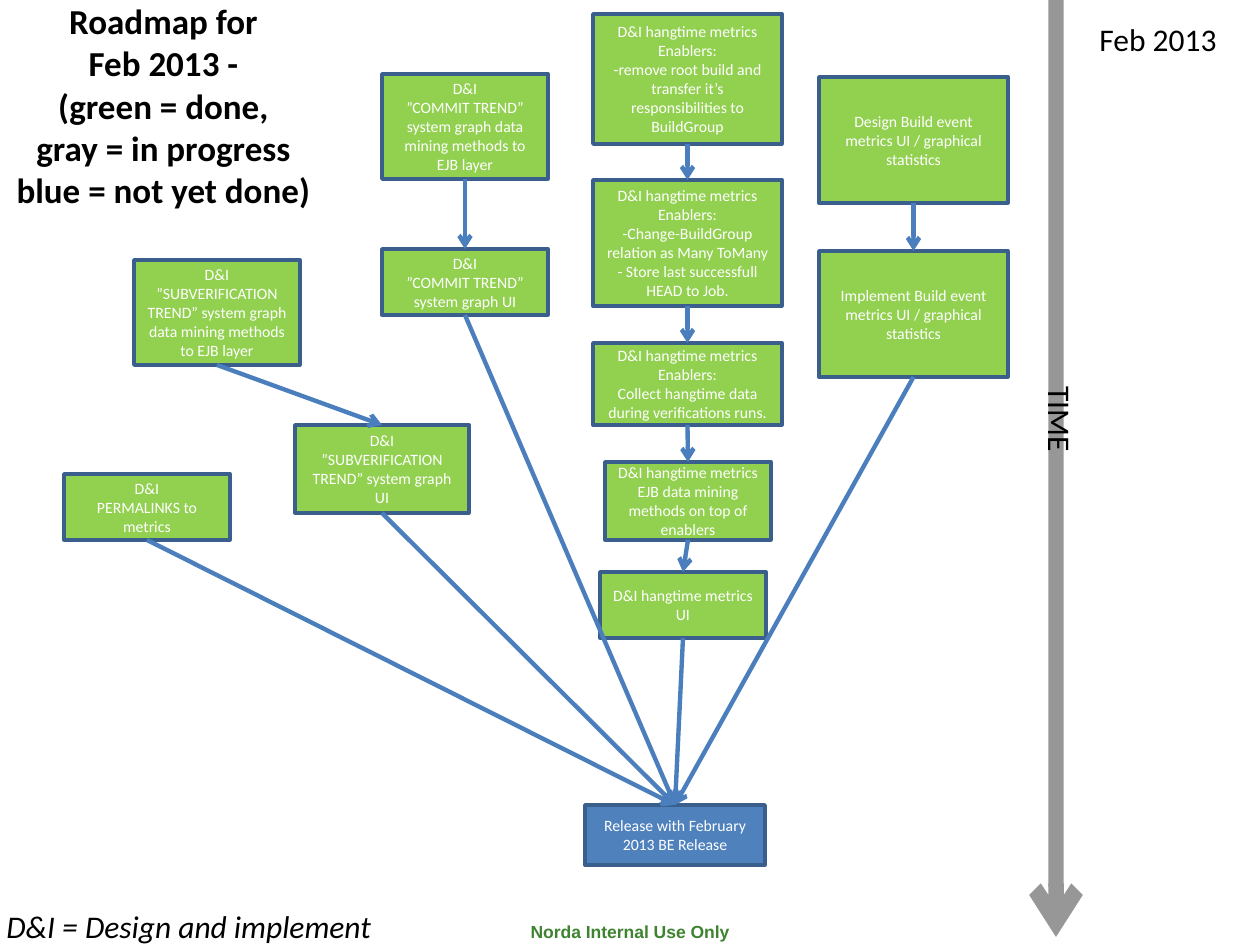
from dataclasses import dataclass, field
from typing import Any

from lxml.etree import SubElement
from pptx import Presentation
from pptx.dml.color import RGBColor
from pptx.enum.shapes import MSO_CONNECTOR, MSO_SHAPE
from pptx.enum.text import MSO_ANCHOR, PP_ALIGN
from pptx.oxml.ns import qn
from pptx.util import Emu, Pt

PX_PER_INCH = 126
BOTTOM, TOP = 2, 0


@dataclass(frozen=True)
class Theme:
    done: str = "92D050"
    pending: str = "4F81BD"
    border: str = "3A5F8C"
    arrow: str = "4B7EBC"
    time: str = "262626"
    notice: str = "3E8430"
    ink: str = "000000"
    light: str = "FFFFFF"
    body_font: str = "Calibri"
    notice_font: str = "Arial"
    title_size: float = 20
    label_size: float = 18
    notice_size: float = 10
    box_size: float = 9
    border_width: float = 2
    arrow_width: float = 2.5
    time_width: float = 8.75


THEME = Theme()


@dataclass(frozen=True)
class Box:
    x: int
    y: int
    w: int
    h: int
    lines: tuple[str, ...]
    color: str = THEME.done


@dataclass(frozen=True)
class Label:
    x: int
    y: int
    w: int
    h: int
    text: str
    color: str = THEME.ink
    align: PP_ALIGN = PP_ALIGN.LEFT
    anchor: MSO_ANCHOR = MSO_ANCHOR.TOP
    wrap: bool = False
    vertical: bool = False
    fmt: dict[str, Any] = field(default_factory=dict)


METRICS = "D&I hangtime metrics"
BOXES = {
    "release": Box(585, 805, 180, 60, ("Release with February 2013 BE Release",), THEME.pending),
    "root build": Box(593, 14, 189, 130, (
        METRICS, "Enablers:",
        "-remove root build and transfer it’s responsibilities to BuildGroup")),
    "relation": Box(593, 180, 189, 126, (
        METRICS, "Enablers:", "-Change-BuildGroup relation as Many ToMany",
        "- Store last successfull HEAD to Job.")),
    "collect": Box(593, 343, 189, 82, (
        METRICS, "Enablers:", "Collect hangtime data during verifications runs.")),
    "hangtime data": Box(605, 462, 166, 78, (
        f"{METRICS} EJB data mining methods on top of enablers",)),
    "hangtime UI": Box(600, 572, 166, 66, (f"{METRICS} UI",)),
    "commit data": Box(382, 74, 166, 105, (
        "D&I", "”COMMIT TREND” system graph data mining methods to EJB layer")),
    "commit UI": Box(382, 249, 166, 66, ("D&I", "”COMMIT TREND” system graph UI")),
    "event design": Box(819, 77, 189, 126, (
        "Design Build event metrics UI / graphical statistics",)),
    "event UI": Box(819, 251, 189, 126, (
        "Implement Build event metrics UI / graphical statistics",)),
    "permalinks": Box(64, 474, 166, 66, ("D&I", "PERMALINKS to metrics")),
    "subverification data": Box(134, 260, 166, 105, (
        "D&I", "”SUBVERIFICATION TREND” system graph data mining methods to EJB layer")),
    "subverification UI": Box(295, 425, 174, 88, (
        "D&I", "”SUBVERIFICATION TREND” system graph UI")),
}

CHAINS = (
    ("root build", "relation", "collect", "hangtime data", "hangtime UI", "release"),
    ("commit data", "commit UI", "release"),
    ("event design", "event UI", "release"),
    ("subverification data", "subverification UI", "release"),
    ("permalinks", "release"),
)

LABEL_FMT = {"size": Pt(THEME.label_size), "name": THEME.body_font}
LABELS = (
    Label(0, 915, 1260, 34, "Norda Internal Use Only", THEME.notice, PP_ALIGN.CENTER, wrap=True,
          fmt={"size": Pt(THEME.notice_size), "name": THEME.notice_font, "bold": True}),
    Label(-64, -24, 455, 258,
          "Roadmap for\vFeb 2013 -\v(green = done,\vgray = in progress\vblue = not yet done)",
          align=PP_ALIGN.CENTER, anchor=MSO_ANCHOR.MIDDLE, wrap=True,
          fmt={"size": Pt(THEME.title_size), "name": THEME.body_font, "bold": True}),
    Label(-6, 901, 397, 50, "D&I = Design and implement", fmt=LABEL_FMT | {"italic": True}),
    Label(1023, 374, 63, 79, "TIME", vertical=True, fmt=LABEL_FMT),
    Label(1087, 14, 144, 50, "Feb 2013", fmt=LABEL_FMT),
)


def px(n: int) -> Emu:
    return Emu(round(n * 914400 / PX_PER_INCH))


def write(tf, lines: tuple[str, ...], align: PP_ALIGN, color: str, fmt: dict[str, Any]) -> None:
    for i, line in enumerate(lines):
        p = tf.add_paragraph() if i else tf.paragraphs[0]
        p.text = line
        p.alignment = align
        for r in p.runs:
            r.font.color.rgb = RGBColor.from_string(color)
            for key, value in fmt.items():
                setattr(r.font, key, value)


def draw_box(s, box: Box):
    sp = s.shapes.add_shape(MSO_SHAPE.RECTANGLE, *map(px, (box.x, box.y, box.w, box.h)))
    sp.shadow.inherit = False
    sp.fill.solid()
    sp.fill.fore_color.rgb = RGBColor.from_string(box.color)
    sp.line.color.rgb = RGBColor.from_string(THEME.border)
    sp.line.width = Pt(THEME.border_width)
    sp.text_frame.word_wrap = True
    sp.text_frame.vertical_anchor = MSO_ANCHOR.MIDDLE
    write(sp.text_frame, box.lines, PP_ALIGN.CENTER, THEME.light,
          {"size": Pt(THEME.box_size), "name": THEME.body_font})
    return sp


def draw_label(s, label: Label) -> None:
    sp = s.shapes.add_textbox(*map(px, (label.x, label.y, label.w, label.h)))
    tf = sp.text_frame
    tf.word_wrap = label.wrap
    tf.vertical_anchor = label.anchor
    if label.vertical:
        tf._txBody.bodyPr.set("vert", "vert")
    write(tf, (label.text,), label.align, label.color, label.fmt)


def draw_arrow(s, start: tuple[int, int], end: tuple[int, int], color: str, width: float):
    cxn = s.shapes.add_connector(MSO_CONNECTOR.STRAIGHT, *map(px, start + end))
    cxn.line.color.rgb = RGBColor.from_string(color)
    cxn.line.width = Pt(width)
    SubElement(cxn.line._get_or_add_ln(), qn("a:tailEnd"), type="arrow")
    SubElement(cxn._element.spPr, qn("a:effectLst"))
    return cxn


def draw_link(s, source, target) -> None:
    cxn = draw_arrow(s, (0, 0), (0, 0), THEME.arrow, THEME.arrow_width)
    cxn.begin_connect(source, BOTTOM)
    cxn.end_connect(target, TOP)


def draw_time_axis(s) -> None:
    cxn = draw_arrow(s, (1056, 0), (1056, 937), THEME.time, THEME.time_width)
    color = cxn._element.spPr.find(".//" + qn("a:srgbClr"))
    SubElement(color, qn("a:alpha"), val="47000")


def main() -> None:
    prs = Presentation()
    prs.slide_width, prs.slide_height = px(1260), px(945)
    s = prs.slides.add_slide(prs.slide_layouts[6])
    draw_time_axis(s)
    shapes = {name: draw_box(s, box) for name, box in BOXES.items()}
    for chain in CHAINS:
        for source, target in zip(chain, chain[1:]):
            draw_link(s, shapes[source], shapes[target])
    for label in LABELS:
        draw_label(s, label)
    prs.save("out.pptx")


if __name__ == "__main__":
    main()
